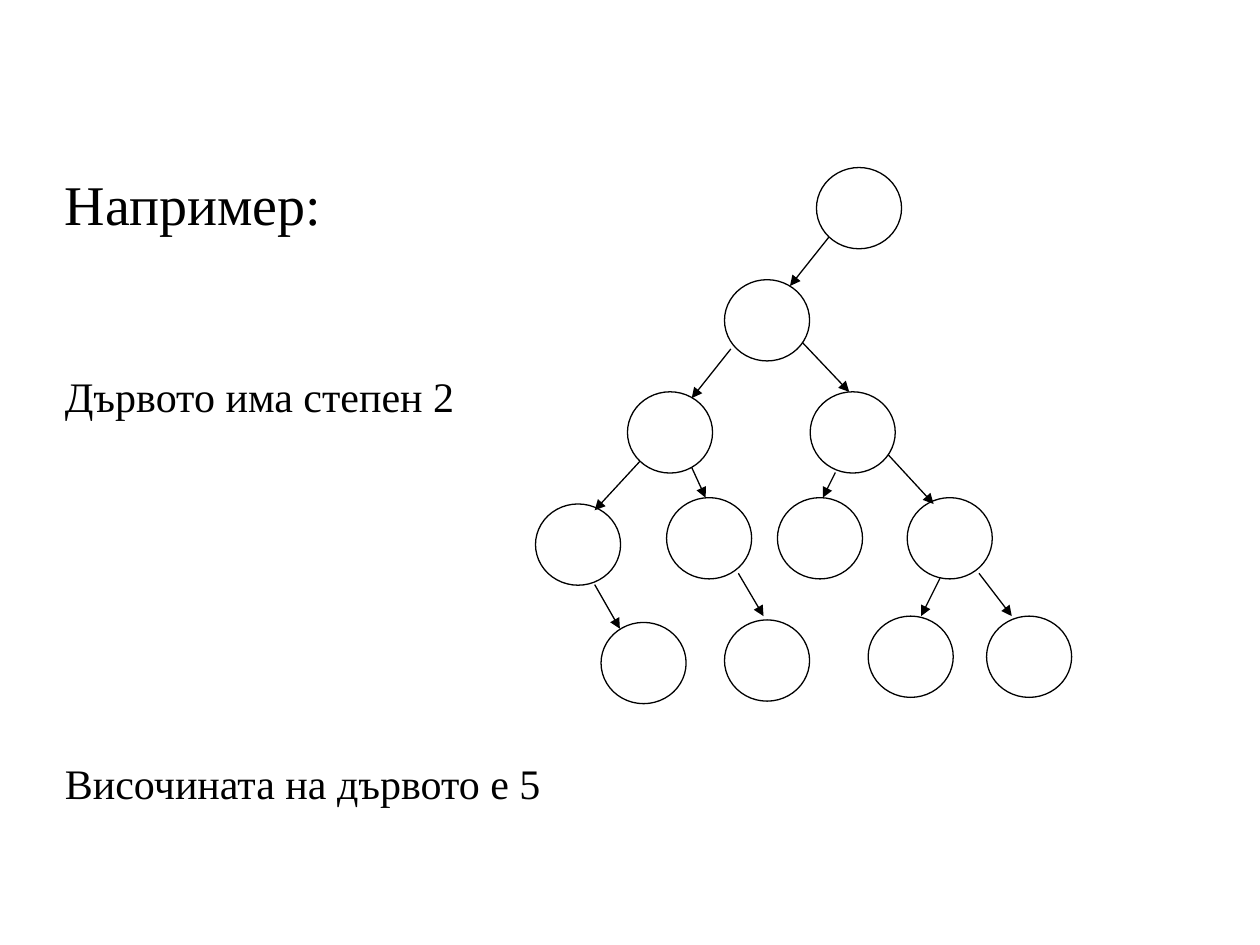
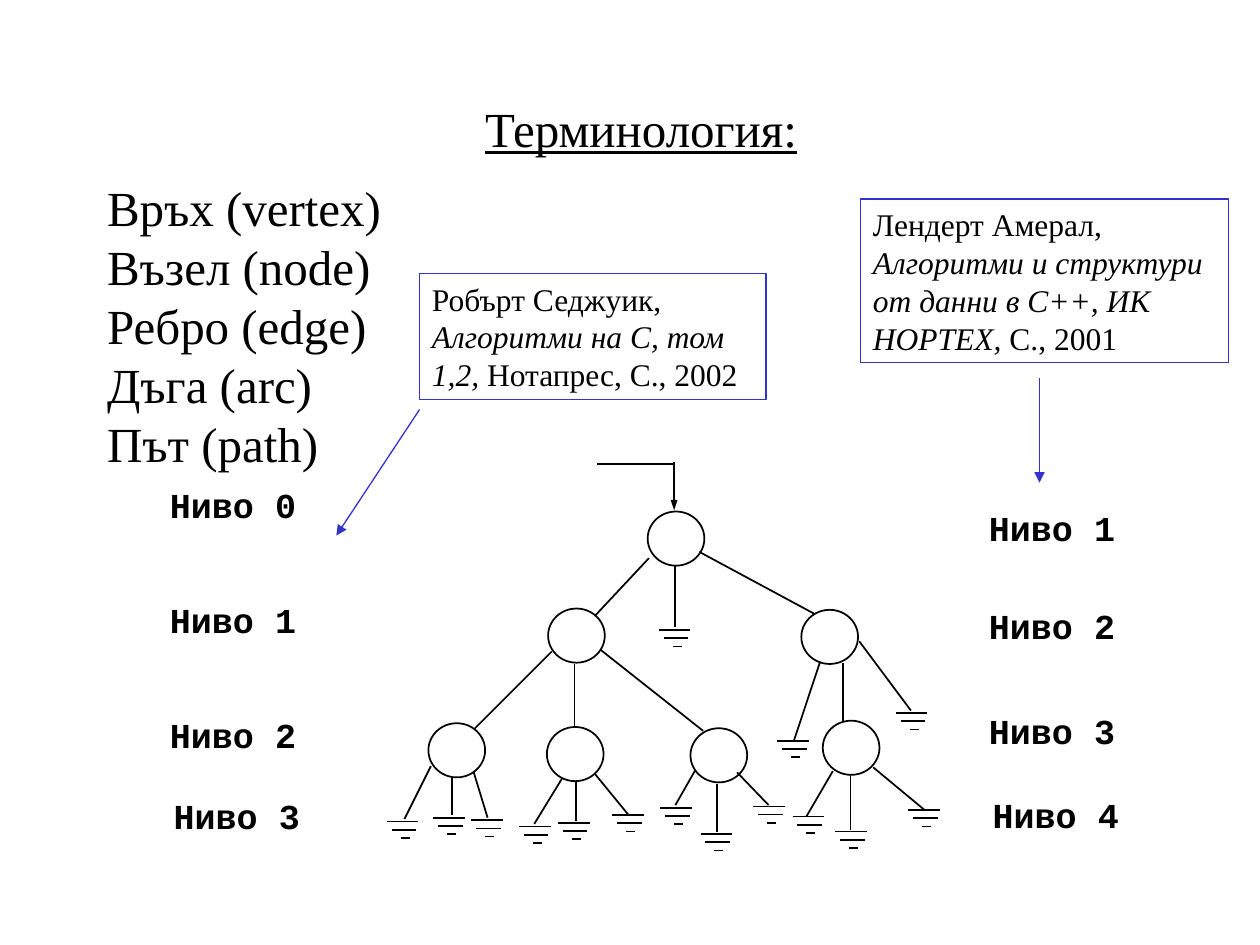
import typing

import lxml.etree
import pptx
import pptx.dml.color
import pptx.enum.shapes
import pptx.enum.text
import pptx.oxml.ns
import pptx.util

# Shared look: a grid of 100 columns by 75 rows covers the slide
COLUMNS, ROWS = 100, 75
BLACK, WHITE, BLUE = "000000", "FFFFFF", "3333CC"
SERIF, MONO = "Times New Roman", "Courier New"
LEADING = 1.2

deck = pptx.Presentation()
deck.slide_width, deck.slide_height = pptx.util.Inches(10), pptx.util.Inches(7.5)


class Box(typing.NamedTuple):
    col: float
    row: float
    cols: float
    rows: float


class Edge(typing.NamedTuple):
    col: float
    row: float
    end_col: float
    end_row: float


class TitleLine(typing.NamedTuple):
    text: str
    size: float
    gap: float = 0
    indent: float = 0
    underline: bool = False


class Callout(typing.NamedTuple):
    box: Box
    author: str
    book: str
    publisher: str
    arrow: Edge


def across(cols: float) -> int:
    return round(deck.slide_width * cols / COLUMNS)


def down(rows: float) -> int:
    return round(deck.slide_height * rows / ROWS)


def place(box: Box) -> tuple[int, int, int, int]:
    return across(box.col), down(box.row), across(box.cols), down(box.rows)


def color(value: str) -> pptx.dml.color.RGBColor:
    return pptx.dml.color.RGBColor.from_string(value)


def write(paragraph, text: str, *, size: float, font: str = SERIF, ink: str = BLACK,
          bold: bool = False, italic: bool = False, underline: bool = False,
          gap: float = 0, indent: float = 0) -> None:
    paragraph.alignment = pptx.enum.text.PP_ALIGN.LEFT
    paragraph.line_spacing = pptx.util.Pt(size * LEADING)
    paragraph.space_before = pptx.util.Pt(gap)
    margins = paragraph._p.get_or_add_pPr()
    margins.set("marL", str(across(indent)))
    margins.set("indent", "0")
    run = paragraph.add_run()
    run.text = text
    run.font.name, run.font.size = font, pptx.util.Pt(size)
    run.font.bold, run.font.italic, run.font.underline = bold, italic, underline
    run.font.color.rgb = color(ink)


def draw_title(slide, box: Box, lines: list[TitleLine], anchor, inset: float = 0.5) -> None:
    title = slide.shapes.title
    title.left, title.top, title.width, title.height = place(box)
    frame = title.text_frame
    frame.word_wrap = True
    frame.auto_size = pptx.enum.text.MSO_AUTO_SIZE.NONE
    frame.vertical_anchor = anchor
    frame.margin_top = down(inset)
    for number, line in enumerate(lines):
        paragraph = frame.add_paragraph() if number else frame.paragraphs[0]
        write(paragraph, line.text, size=line.size, gap=line.gap,
              indent=line.indent, underline=line.underline)


def draw_shape(slide, kind, box: Box, line: str, weight: float, fill: str = ""):
    shape = slide.shapes.add_shape(kind, *place(box))
    shape.shadow.inherit = False
    if fill:
        shape.fill.solid()
        shape.fill.fore_color.rgb = color(fill)
    else:
        shape.fill.background()
    shape.line.color.rgb = color(line)
    shape.line.width = pptx.util.Pt(weight)
    return shape


def draw_edge(slide, edge: Edge, weight: float, ink: str = BLACK,
              head: str = "") -> None:
    """Draw a straight edge; head is the width of its arrowhead, if any."""
    connector = slide.shapes.add_connector(
        pptx.enum.shapes.MSO_CONNECTOR.STRAIGHT,
        across(edge.col), down(edge.row), across(edge.end_col), down(edge.end_row))
    connector.line.color.rgb = color(ink)
    connector.line.width = pptx.util.Pt(weight)
    qn = pptx.oxml.ns.qn
    if head:
        lxml.etree.SubElement(connector.line._get_or_add_ln(), qn("a:tailEnd"),
                              type="triangle", w=head, len="med")
    lxml.etree.SubElement(connector._element.spPr, qn("a:effectLst"))


def draw_nodes(slide, corners: list[tuple[float, float]], cols: float, rows: float,
               weight: float, fill: str = "") -> None:
    oval = pptx.enum.shapes.MSO_SHAPE.OVAL
    for col, row in corners:
        draw_shape(slide, oval, Box(col, row, cols, rows), BLACK, weight, fill)


def draw_null_link(slide, middle: float, row: float) -> None:
    """Three shrinking bars that mark an empty subtree."""
    for step, width in enumerate((2.5, 1.95, 0.7)):
        left, level = middle - width / 2 + 0.1 * step, row + 0.65 * step
        draw_edge(slide, Edge(left, level, left + width, level), 1)


def draw_level(slide, col: float, row: float, level: int) -> None:
    label = slide.shapes.add_textbox(*place(Box(col, row, 12.9, 4.6)))
    label.text_frame.word_wrap = True
    write(label.text_frame.paragraphs[0], f"Ниво {level}", size=20, font=MONO, bold=True)


def draw_callout(slide, callout: Callout) -> None:
    note = draw_shape(slide, pptx.enum.shapes.MSO_SHAPE.RECTANGLE, callout.box, BLUE, 0.75)
    note.text_frame.word_wrap = True
    note.text_frame.vertical_anchor = pptx.enum.text.MSO_ANCHOR.TOP
    paragraph = note.text_frame.paragraphs[0]
    write(paragraph, callout.author, size=18)
    write(paragraph, callout.book, size=18, italic=True)
    write(paragraph, callout.publisher, size=18)
    draw_edge(slide, callout.arrow, 0.75, BLUE, "med")


# Slide 1: binary tree
BINARY_TITLE = [
    TitleLine("Например:", 32),
    TitleLine("Дървото има степен 2", 24, gap=76.8),
    TitleLine("Височината на дървото е 5", 24, gap=192),
]
BINARY_NODES = [
    (64.8, 13.3),
    (57.5, 22.2),
    (49.8, 31.1), (64.3, 31.1),
    (42.5, 40), (52.9, 39.5), (61.7, 39.5), (72, 39.5),
    (47.7, 49.4), (57.5, 49.2), (68.9, 48.9), (78.3, 48.9),
]
BINARY_EDGES = [
    Edge(65.8, 18.8, 62.7, 22.7),
    Edge(58, 27.7, 54.9, 31.6), Edge(63.7, 27.2, 67.4, 31.1),
    Edge(50.8, 36.6, 47.2, 40.5), Edge(54.9, 37.1, 56, 39.5),
    Edge(66.3, 37.5, 65.3, 39.5), Edge(70.5, 36.1, 74.1, 40),
    Edge(47.2, 46.4, 49.2, 49.9), Edge(58.6, 45.5, 60.6, 48.9),
    Edge(74.6, 45.9, 73.1, 48.9), Edge(77.7, 45.5, 80.3, 48.9),
]

# Slide 2: ternary tree with numbered levels
TERMS = ["Възел (node)", "Ребро (edge)", "Дъга (arc)", "Път (path)"]
TERMS_TITLE = [
    TitleLine("Терминология:", 28, indent=30, underline=True),
    TitleLine("Връх (vertex)", 28, gap=12),
    *(TitleLine(term, 28) for term in TERMS),
]
TERNARY_NODES = [
    (51.4, 40.6),
    (43.5, 48.3), (63.6, 48.4),
    (34, 57.4), (43.4, 57.7), (54.8, 57.8), (65.3, 57.2),
]
TERNARY_EDGES = [
    # root
    Edge(51.5, 44.3, 47.2, 48.9), Edge(53.6, 44.9, 53.6, 49.8),
    Edge(55.5, 43.8, 64.6, 48.7),
    # second level
    Edge(43.8, 51.7, 37.7, 57.8), Edge(45.6, 52.7, 45.6, 57.6),
    Edge(47.7, 51.6, 55.8, 58),
    Edge(65.1, 52.5, 63, 58.8), Edge(66.9, 52.6, 66.9, 57.2),
    Edge(68.2, 50.9, 72.3, 56.4),
    # third level
    Edge(34.2, 60.8, 32.1, 65), Edge(35.9, 61.7, 35.9, 64.7),
    Edge(37.6, 61.3, 38.7, 64.9),
    Edge(44.6, 61.8, 42.4, 65.4), Edge(45.7, 62, 45.7, 65.2),
    Edge(47.2, 61.4, 49.9, 64.7),
    Edge(55.2, 61.1, 53.6, 63.9), Edge(56.9, 62.2, 56.9, 66),
    Edge(58.5, 61.3, 61, 63.9),
    Edge(66.1, 61.2, 64, 64.8), Edge(67.5, 61.5, 67.5, 65.9),
    Edge(69.3, 60.9, 73.4, 64.3),
]
NULL_LINKS = [
    (53.55, 50), (62.95, 58.8), (72.35, 56.6),
    (31.95, 65.2), (35.65, 64.9), (38.65, 65.1),
    (42.45, 65.6), (45.55, 65.3), (49.85, 64.7),
    (53.65, 64.1), (56.85, 66.2), (61.05, 64),
    (64.15, 64.8), (67.55, 66), (73.35, 64.3),
]
ROOT_LINK = Edge(47.4, 36.8, 53.5, 36.8)
ROOT_ARROW = Edge(53.5, 36.7, 53.5, 40.5)
# First level number and the corners of its labels, top to bottom
LEVEL_COLUMNS = [
    (0, [(12.5, 37.9), (12.5, 47), (12.5, 56.1), (12.8, 62.6)]),
    (1, [(77.5, 39.7), (77.5, 47.5), (77.5, 55.8), (77.8, 62.5)]),
]
CALLOUTS = [
    Callout(Box(33.3, 21.7, 27.5, 10), "Робърт Седжуик, ", "Алгоритми на С, том 1,2,",
            " Нотапрес, С., 2002", Edge(33.3, 32.5, 26.7, 42.5)),
    Callout(Box(68.3, 15.8, 29.2, 13), "Лендерт Амерал, ",
            "Алгоритми и структури от данни в С++, ИК НОРТЕХ,", " С., 2001",
            Edge(82.5, 30, 82.5, 38.3)),
]


def build_binary_tree(slide) -> None:
    draw_title(slide, Box(4.15, 6.65, 88.3, 64.2), BINARY_TITLE,
               pptx.enum.text.MSO_ANCHOR.MIDDLE)
    draw_nodes(slide, BINARY_NODES, 6.75, 6.45, 0.75, WHITE)
    for edge in BINARY_EDGES:
        draw_edge(slide, edge, 0.75, head="med")


def build_terminology(slide) -> None:
    draw_title(slide, Box(7.5, 6.7, 87.5, 60), TERMS_TITLE,
               pptx.enum.text.MSO_ANCHOR.TOP, inset=1.1)
    draw_nodes(slide, TERNARY_NODES, 4.5, 4.3, 1)
    for edge in TERNARY_EDGES + [ROOT_LINK]:
        draw_edge(slide, edge, 1)
    draw_edge(slide, ROOT_ARROW, 1, head="sm")
    for middle, row in NULL_LINKS:
        draw_null_link(slide, middle, row)
    for first, corners in LEVEL_COLUMNS:
        for level, (col, row) in enumerate(corners, first):
            draw_level(slide, col, row, level)
    for callout in CALLOUTS:
        draw_callout(slide, callout)


def main() -> None:
    title_only = deck.slide_layouts[5]
    for build in (build_binary_tree, build_terminology):
        build(deck.slides.add_slide(title_only))
    deck.save("out.pptx")


if __name__ == "__main__":
    main()
